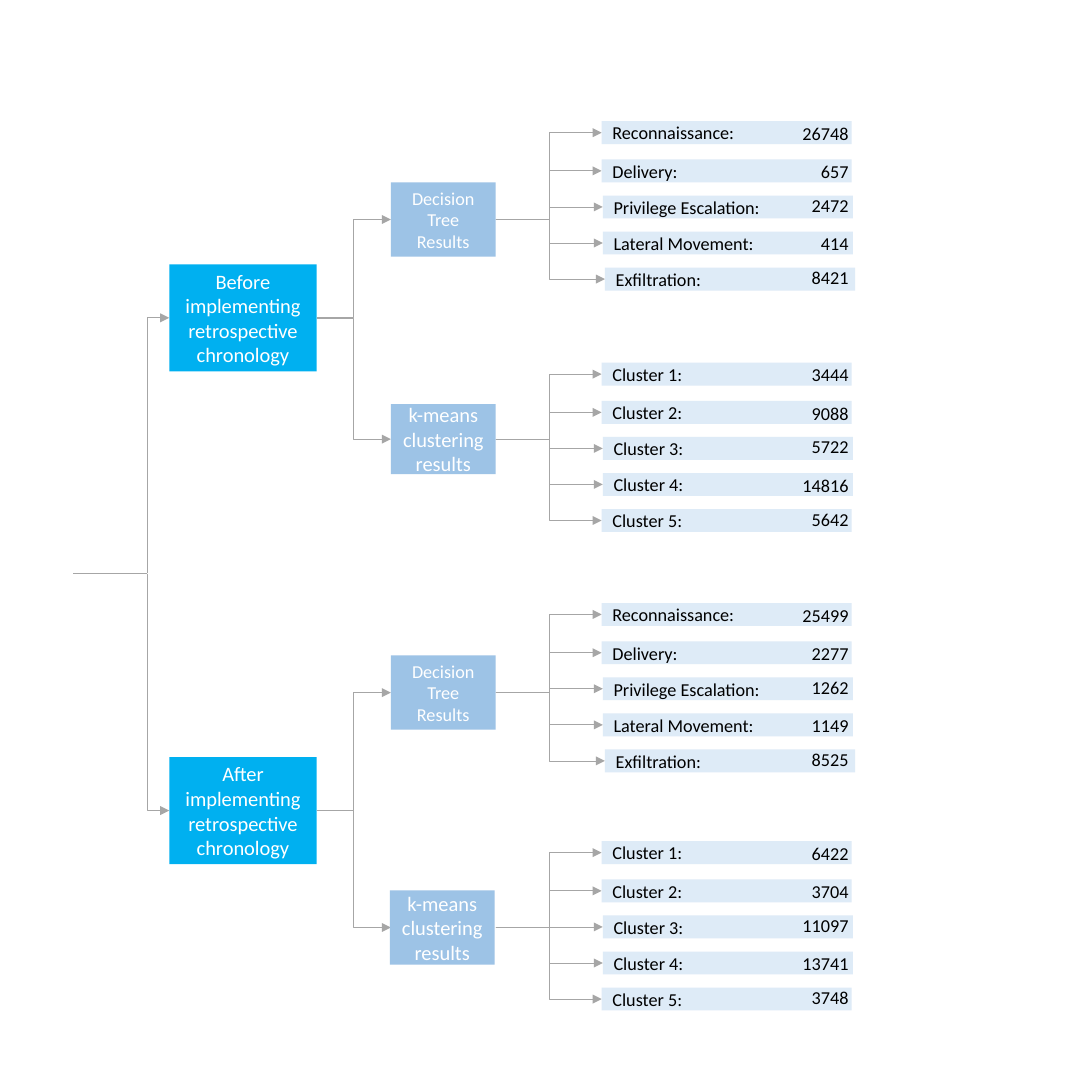
"""Build the tree of results before and after implementing retrospective chronology."""
import pptx
import pptx.dml.color
import pptx.enum.shapes
import pptx.enum.text
import pptx.oxml
import pptx.oxml.ns
import pptx.util
from lxml import etree
from pptx.util import Inches

FONT = "Calibri"
STAGES = ["Reconnaissance:", "Delivery:", "Privilege Escalation:", "Lateral Movement:", "Exfiltration:"]
CLUSTERS = [f"Cluster {number}:" for number in range(1, 6)]
STAGE_INDENTS = [0, 0, 0.01, 0.01, 0.03]
CLUSTER_INDENTS = [0, 0, 0.01, 0.01, 0]
BAR_OFFSETS = [0, 0.35, 0.68, 1.01, 1.34]
COUNT_OFFSETS = [0, 0.35, 0.66, 1.01, 1.32]
BAR_LEFT, BAR_WIDTH, BAR_HEIGHT = 5.51, 2.29, 0.21
STEM_X, STEM_Y, RESULT_TRUNK_X = 1.35, 5.25, 5.03

TREE = [
    ("Before implementing retrospective chronology", 2.42, [
        ("Decision Tree Results", 12, 3.58, 1.67, 0.68, 1.11, STAGES, STAGE_INDENTS,
         [26748, 657, 2472, 414, 8421]),
        ("k-means clustering results", 13.5, 3.58, 3.7, 0.64, 3.32, CLUSTERS, CLUSTER_INDENTS,
         [3444, 9088, 5722, 14816, 5642]),
    ]),
    ("After implementing retrospective chronology", 6.93, [
        ("Decision Tree Results", 12, 3.58, 6, 0.68, 5.52, STAGES, STAGE_INDENTS,
         [25499, 2277, 1262, 1149, 8525]),
        ("k-means clustering results", 13.5, 3.57, 8.15, 0.68, 7.7, CLUSTERS, CLUSTER_INDENTS,
         [6422, 3704, 11097, 13741, 3748]),
    ]),
]

deck = pptx.Presentation()
deck.slide_width, deck.slide_height = Inches(10), Inches(9.84)
slide = deck.slides.add_slide(deck.slide_layouts[6])
rgb = pptx.dml.color.RGBColor.from_string
ALIGN = pptx.enum.text.PP_ALIGN


def add_label(text, left, top, width, height, size, color, align, fill=None):
    """Add a filled box, or a plain text box when there is no fill."""
    area = [Inches(length) for length in (left, top, width, height)]
    if fill:
        label = slide.shapes.add_shape(pptx.enum.shapes.MSO_SHAPE.RECTANGLE, *area)
        label.shadow.inherit = False
        label.fill.solid()
        label.fill.fore_color.rgb = rgb(fill)
        label.line.fill.background()
        label.text_frame.vertical_anchor = pptx.enum.text.MSO_ANCHOR.MIDDLE
    else:
        label = slide.shapes.add_textbox(*area)
        label.text_frame.auto_size = pptx.enum.text.MSO_AUTO_SIZE.SHAPE_TO_FIT_TEXT
    label.text_frame.word_wrap = True
    paragraph = label.text_frame.paragraphs[0]
    paragraph.text = text
    paragraph.alignment = align
    paragraph.font.name = FONT
    paragraph.font.size = pptx.util.Pt(size)
    paragraph.font.color.rgb = rgb(color)


def add_branch(start_x, start_y, end_x, end_y, trunk_x=None):
    """Add an elbow arrow turning at trunk_x, or a plain line without a trunk."""
    kinds = pptx.enum.shapes.MSO_CONNECTOR
    kind = kinds.STRAIGHT if trunk_x is None else kinds.ELBOW
    branch = slide.shapes.add_connector(kind, Inches(start_x), Inches(start_y), Inches(end_x), Inches(end_y))
    branch.line.color.rgb = rgb("A6A6A6")
    branch.line.width = pptx.util.Pt(0.5)
    qn = pptx.oxml.ns.qn
    properties = branch._element.spPr
    etree.SubElement(properties, qn("a:effectLst"))
    if trunk_x is not None:
        etree.SubElement(properties.find(qn("a:ln")), qn("a:tailEnd"), type="triangle")
        geometry = properties.find(qn("a:prstGeom"))
        guides = geometry.find(qn("a:avLst"))
        if guides is None:
            guides = etree.SubElement(geometry, qn("a:avLst"))
        bend = round((trunk_x - start_x) / (end_x - start_x) * 100000)
        etree.SubElement(guides, qn("a:gd"), name="adj1", fmla=f"val {bend}")


add_branch(STEM_X, STEM_Y, 0.67, STEM_Y)
for phase, phase_top, methods in TREE:
    phase_y = phase_top + 0.49
    add_branch(STEM_X, STEM_Y, 1.55, phase_y, STEM_X)
    add_label(phase, 1.55, phase_top, 1.35, 0.98, 13.5, "FFFFFF", ALIGN.CENTER, "00B0F0")
    for method, size, left, top, height, bars_top, names, indents, counts in methods:
        method_y = top + height / 2
        add_branch(2.9, phase_y, 3.58, method_y, 3.24)
        add_label(method, left, top, 0.96, height, size, "FFFFFF", ALIGN.CENTER, "9DC3E6")
        for name, indent, count, bar_offset, count_offset in zip(
                names, indents, counts, BAR_OFFSETS, COUNT_OFFSETS):
            bar_left, bar_top = BAR_LEFT + indent, bars_top + bar_offset
            add_branch(4.54, method_y, bar_left, bar_top + BAR_HEIGHT / 2, RESULT_TRUNK_X)
            add_label(name, bar_left, bar_top, BAR_WIDTH, BAR_HEIGHT, 12, "000000", ALIGN.LEFT, "DEEBF7")
            add_label(str(count), 7.21, bars_top - 0.04 + count_offset, 0.66, 0.3, 12, "000000", ALIGN.RIGHT)

deck.save("out.pptx")
